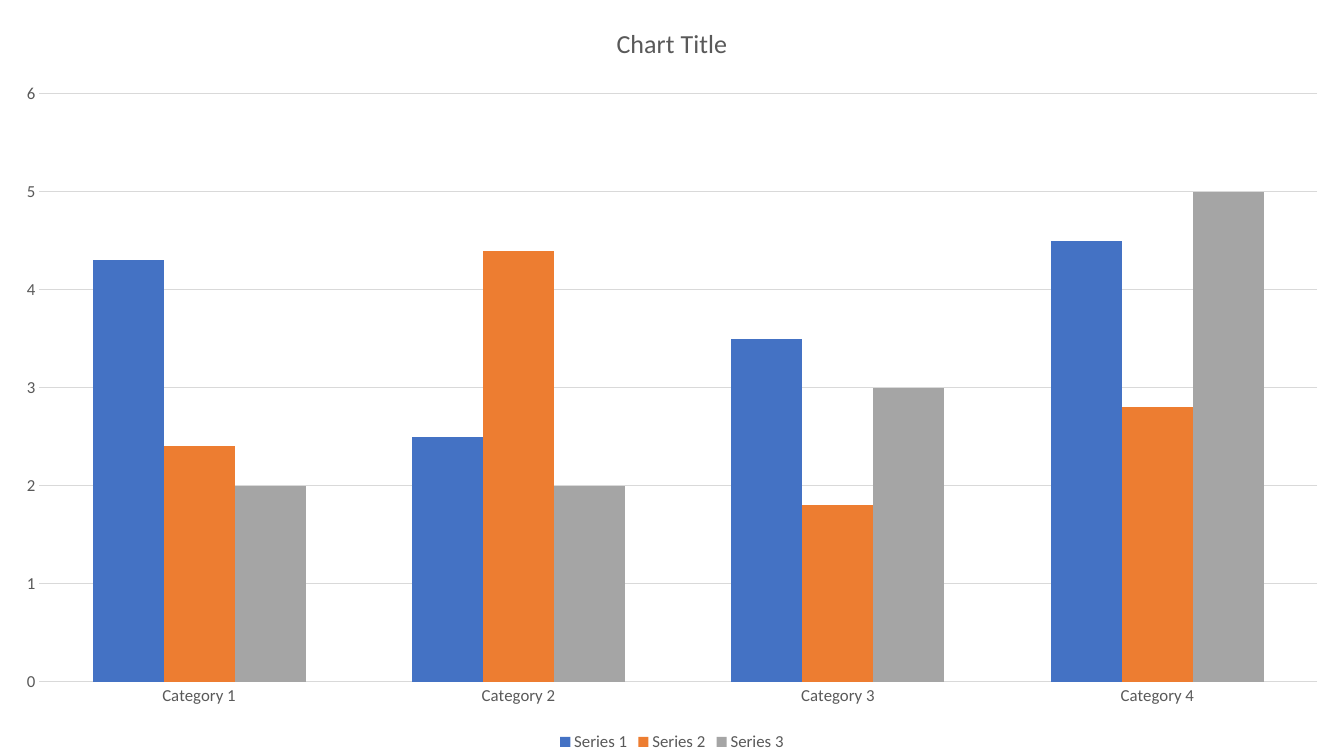
"""Build a slide filled by one clustered column chart."""
from pptx import Presentation
from pptx.chart.data import CategoryChartData
from pptx.dml.color import RGBColor
from pptx.enum.chart import XL_CHART_TYPE, XL_LEGEND_POSITION, XL_TICK_MARK
from pptx.util import Pt

COLUMN = XL_CHART_TYPE.COLUMN_CLUSTERED
BOTTOM = XL_LEGEND_POSITION.BOTTOM
NO_TICK = XL_TICK_MARK.NONE
GREY = RGBColor(0x59, 0x59, 0x59)
PALE = RGBColor(0xD9, 0xD9, 0xD9)
BLUE = RGBColor(0x44, 0x72, 0xC4)
ORANGE = RGBColor(0xED, 0x7D, 0x31)
SILVER = RGBColor(0xA5, 0xA5, 0xA5)

TITLE = "Chart Title"
CATS = ["Category 1", "Category 2", "Category 3", "Category 4"]
SERIES = [
    ("Series 1", (4.3, 2.5, 3.5, 4.5), BLUE),
    ("Series 2", (2.4, 4.4, 1.8, 2.8), ORANGE),
    ("Series 3", (2, 2, 3, 5), SILVER),
]
WIDTH, HEIGHT = 1280, 720
PX = 9525
LABEL = {"name": "Calibri", "size": Pt(12), "bold": False}
HEAD = {**LABEL, "size": Pt(18.6)}
AXIS = {"major_tick_mark": NO_TICK, "minor_tick_mark": NO_TICK}
SCALE = {"minimum_scale": 0, "maximum_scale": 6, "major_unit": 1}
LEGEND = {"position": BOTTOM, "include_in_layout": False}
PLOT = {"gap_width": 150, "overlap": 0, "vary_by_categories": False}


def put(item, form):
    for key, val in form.items():
        setattr(item, key, val)


def style(font, form):
    put(font, form)
    font.color.rgb = GREY


def main():
    deck = Presentation()
    put(deck, {"slide_width": WIDTH * PX, "slide_height": HEIGHT * PX})
    slide = deck.slides.add_slide(deck.slide_layouts[6])
    data = CategoryChartData()
    data.categories = CATS
    for name, vals, _ in SERIES:
        data.add_series(name, vals)
    chart = slide.shapes.add_chart(
        COLUMN, 0, 0, WIDTH * PX, HEIGHT * PX, data).chart
    style(chart.font, LABEL)

    frame = chart.chart_title.text_frame
    frame.text = TITLE
    style(frame.paragraphs[0].runs[0].font, HEAD)
    chart.chart_title.include_in_layout = False
    chart.has_legend = True
    put(chart.legend, LEGEND)
    style(chart.legend.font, LABEL)

    for axis in (chart.category_axis, chart.value_axis):
        put(axis, AXIS)
        axis.format.line.fill.background()
        style(axis.tick_labels.font, LABEL)
    put(chart.value_axis, SCALE)
    grid = chart.value_axis.major_gridlines.format.line
    grid.width = Pt(0.75)
    grid.color.rgb = PALE

    plot = chart.plots[0]
    put(plot, PLOT)
    for bars, (_, _, color) in zip(plot.series, SERIES):
        bars.format.fill.solid()
        bars.format.fill.fore_color.rgb = color
    deck.save("out.pptx")


if __name__ == "__main__":
    main()
